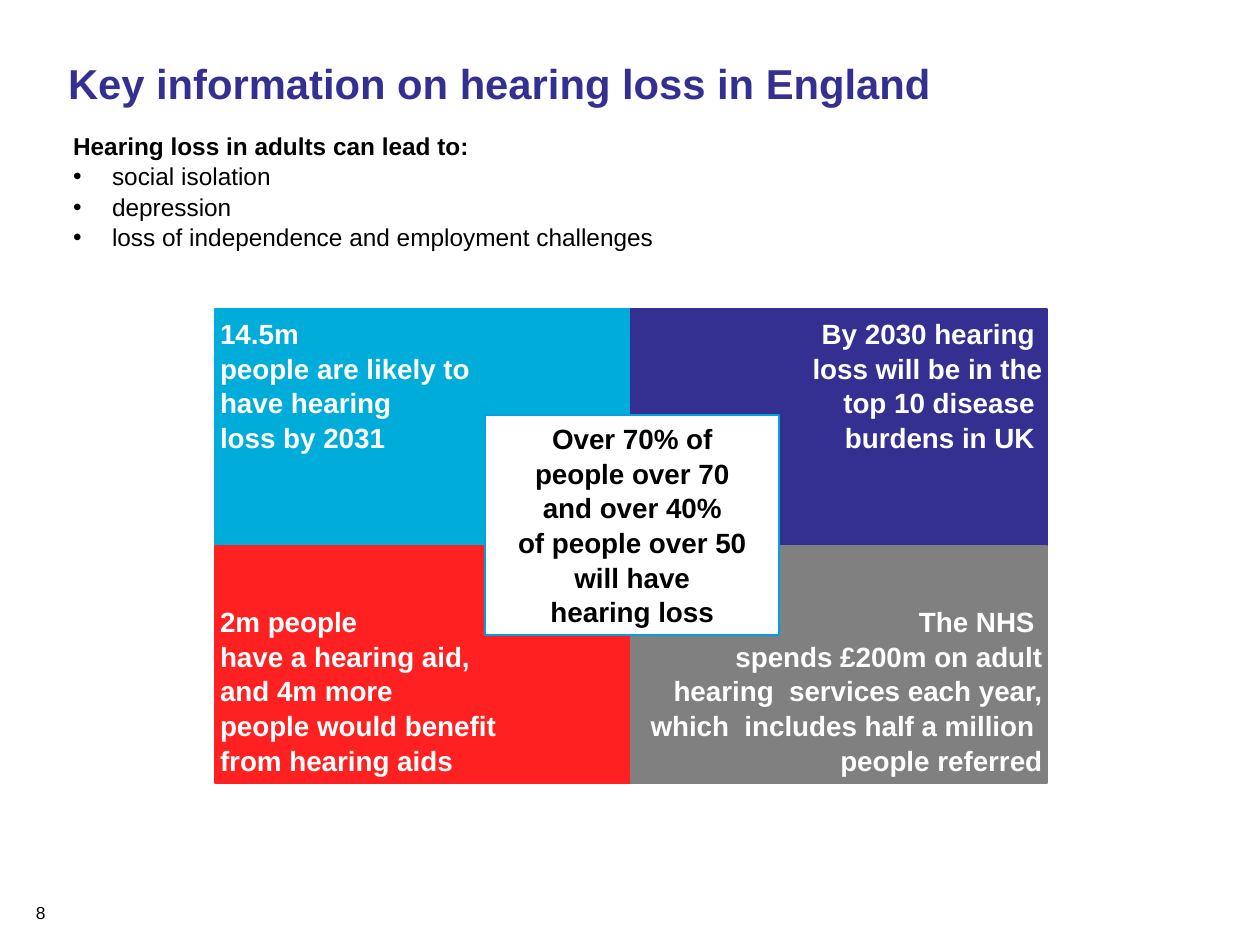
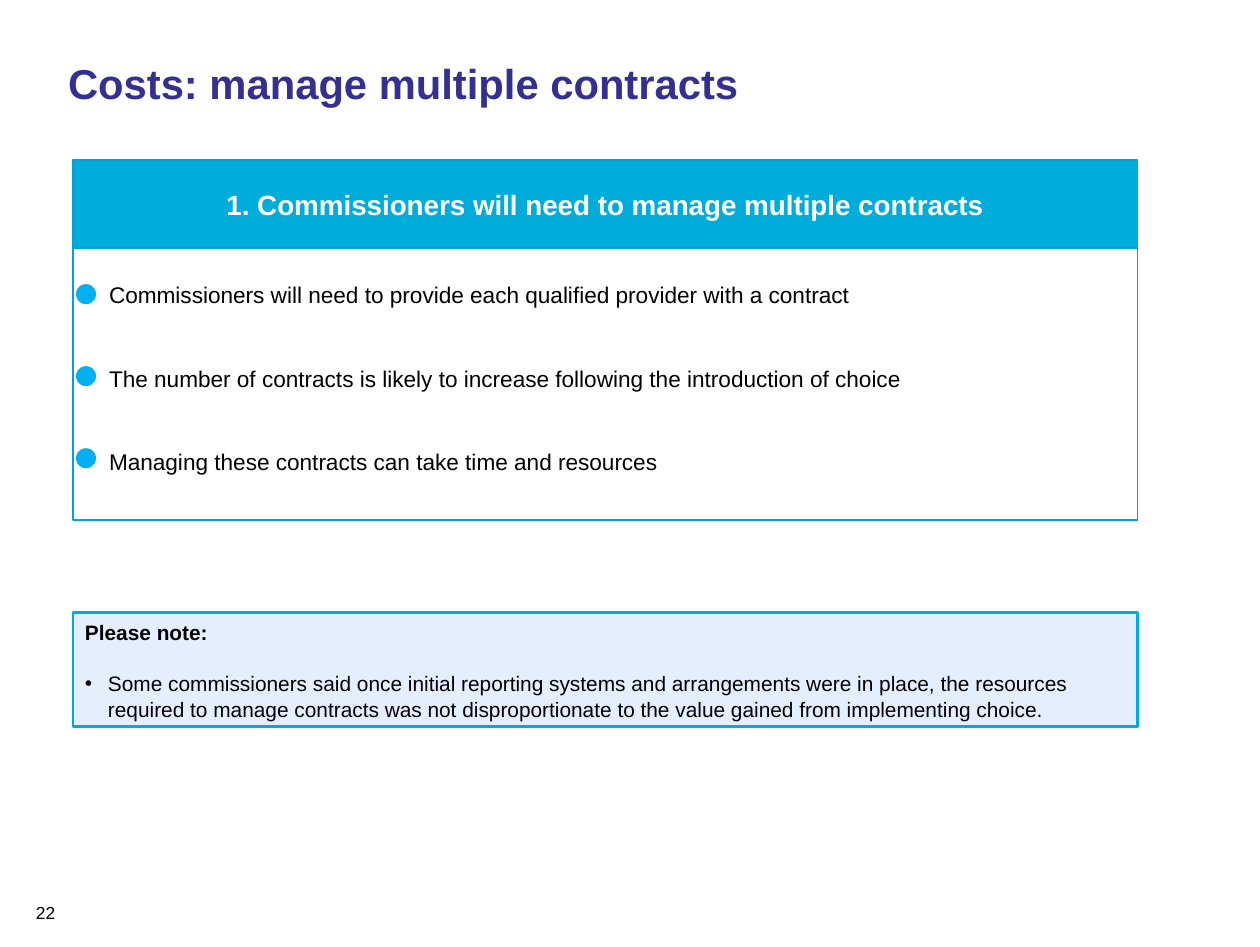
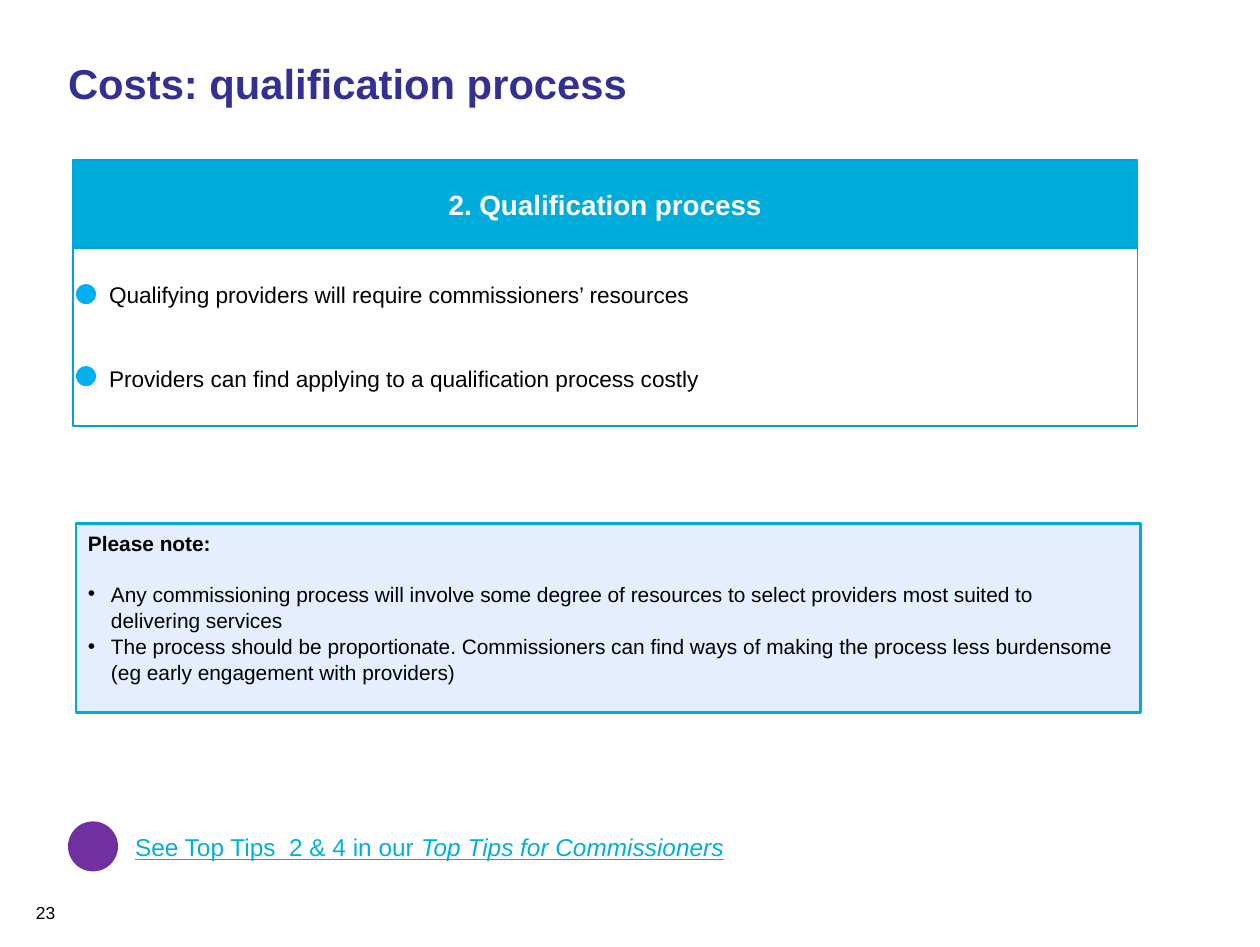
import dataclasses

import lxml.etree
import pptx
import pptx.dml.color
import pptx.enum.shapes
import pptx.enum.text
import pptx.oxml.ns
import pptx.util

PX_PER_INCH = 125.2
SHAPE = pptx.enum.shapes.MSO_SHAPE
ALIGN = pptx.enum.text.PP_ALIGN
ANCHOR = pptx.enum.text.MSO_ANCHOR
TIGHT = (5, 5, 5, 5)
STANDARD = (12, 6, 12, 6)


@dataclasses.dataclass(frozen=True)
class Theme:
    font: str = "Arial"
    black: str = "000000"
    white: str = "FFFFFF"
    navy: str = "333092"
    cyan: str = "00ADDA"
    border: str = "00A1DE"
    red: str = "FF2121"
    grey: str = "808080"
    pale: str = "E5EEFF"
    dot: str = "00B0F0"
    purple: str = "7030A0"
    link: str = "00AFDB"
    title: int = 24
    heading: int = 16
    body: int = 14
    panel: int = 13
    note: int = 12
    number: int = 10
    line_spacing: float = 1.04


THEME = Theme()


def px(n):
    return pptx.util.Emu(round(n * 914400 / PX_PER_INCH))


def rgb(color):
    return pptx.dml.color.RGBColor.from_string(color)


def place(sp, x, y, w, h):
    sp.left, sp.top, sp.width, sp.height = px(x), px(y), px(w), px(h)


def frame(sp, insets=STANDARD, anchor=ANCHOR.TOP):
    """Set wrapping, anchor and insets (left, top, right, bottom)."""
    tf = sp.text_frame
    tf.word_wrap = True
    tf.auto_size = pptx.enum.text.MSO_AUTO_SIZE.NONE
    tf.vertical_anchor = anchor
    tf.margin_left, tf.margin_top, tf.margin_right, tf.margin_bottom = map(px, insets)


def set_bullet(p, bullet):
    pPr = p._p.get_or_add_pPr()

    def add(tag, **attrs):
        lxml.etree.SubElement(pPr, pptx.oxml.ns.qn(tag), **attrs)

    if bullet:
        add("a:buFont", typeface=THEME.font)
        add("a:buChar", char="•")
    else:
        add("a:buNone")


def add_run(p, text, size, color=THEME.black, bold=False, italic=False, underline=False):
    r = p.add_run()
    r.text = text
    font = r.font
    font.name, font.size, font.color.rgb = THEME.font, pptx.util.Pt(size), rgb(color)
    font.bold, font.italic, font.underline = bold, italic, underline


def write(sp, text, align=ALIGN.LEFT, indent=0, bullet=False, before=0, gap=0, **fmt):
    """Append one paragraph a line; before spaces the first, gap the others."""
    tf = sp.text_frame
    for i, line in enumerate(text.split("\n")):
        p = tf.paragraphs[0] if not tf.text else tf.add_paragraph()
        p.alignment = align
        p.line_spacing = THEME.line_spacing
        p.space_before, p.space_after = px(gap if i else before), px(0)
        pPr = p._p.get_or_add_pPr()
        pPr.set("marL", str(px(indent)))
        pPr.set("indent", str(px(-indent if bullet else 0)))
        set_bullet(p, bullet)
        for j, part in enumerate(line.split("\v")):
            if j:
                p.add_line_break()
            add_run(p, part, **fmt)
    return p


def add_box(slide, x, y, w, h, fill, line=None, weight=1, kind=SHAPE.RECTANGLE):
    sp = slide.shapes.add_shape(kind, px(x), px(y), px(w), px(h))
    sp.shadow.inherit = False
    sp.fill.solid()
    sp.fill.fore_color.rgb = rgb(fill)
    if line:
        set_line(sp, line, weight)
    else:
        sp.line.fill.background()
    return sp


def set_line(sp, color, weight=1):
    sp.line.color.rgb = rgb(color)
    sp.line.width = pptx.util.Pt(weight)


def add_dot(slide, x, y, size, color):
    add_box(slide, x, y, size, size, color, kind=SHAPE.OVAL)


def add_textbox(slide, x, y, w, h):
    sp = slide.shapes.add_textbox(px(x), px(y), px(w), px(h))
    frame(sp)
    return sp


def add_slide(prs, title, number):
    slide = prs.slides.add_slide(prs.slide_layouts[1])
    sp = slide.shapes.title
    place(sp, 56, 50, 1176, 89)
    frame(sp)
    write(sp, title, size=THEME.title, color=THEME.navy, bold=True)
    write(add_textbox(slide, 24, 895, 292, 30), number, size=THEME.number)
    return slide


def add_panel(slide, heading, points, height):
    """Heading band above a bordered list with round markers."""
    x, y, w, band, pitch, line = 73, 160, 1064, 88, 82, 27
    sp = add_box(slide, x, y, w, band, THEME.cyan, THEME.border)
    frame(sp, TIGHT, ANCHOR.MIDDLE)
    write(sp, heading, align=ALIGN.CENTER, size=THEME.heading, color=THEME.white, bold=True)
    body = slide.placeholders[1]
    place(body, x, y + band, w, height)
    set_line(body, THEME.border)
    frame(body, (5, 32, 5, 5))
    write(body, "\n".join(points), indent=31, gap=pitch - line, size=THEME.panel)
    for i in range(len(points)):
        add_dot(slide, x + 3, y + 124 + i * pitch, 20, THEME.dot)


def add_note(slide, x, y, h, points):
    sp = add_box(slide, x, y, 1064, h, THEME.pale, THEME.cyan, 1.5)
    frame(sp)
    write(sp, "Please note:", size=THEME.note, bold=True)
    write(sp, points, indent=23, bullet=True, before=25, size=THEME.note)


def add_quadrants(slide):
    x, y, w, h = 215, 309, 416, 237
    quadrants = (
        (THEME.cyan, "14.5m\npeople are likely to\nhave hearing \vloss by 2031"),
        (THEME.navy, "By 2030 hearing \nloss will be in the\ntop 10 disease \nburdens in UK "),
        (THEME.red, "2m people\nhave a hearing aid,\nand 4m more\n"
                    "people would benefit\nfrom hearing aids"),
        (THEME.grey, "The NHS \vspends £200m on adult hearing  services each year, "
                     "which  includes half a million \npeople referred"),
    )
    for i, (color, text) in enumerate(quadrants):
        row, col = divmod(i, 2)
        sp = add_box(slide, x + col * w, y + row * h, w, h, color, color)
        frame(sp, (5, 57 if row else 6, 5, 5))
        write(sp, text, align=ALIGN.RIGHT if col else ALIGN.LEFT,
              size=THEME.heading, color=THEME.white, bold=True)
    sp = add_box(slide, 485, 415, 294, 220, THEME.white, THEME.border)
    frame(sp, TIGHT)
    write(sp, "Over 70% of\npeople over 70\nand over 40%\nof people over 50\n"
              "will have\nhearing loss",
          align=ALIGN.CENTER, size=THEME.heading, bold=True)


def build_key_information(prs):
    slide = add_slide(prs, "Key information on hearing loss in England", "8")
    body = slide.placeholders[1]
    place(body, 61, 124, 1162, 130)
    frame(body)
    write(body, "Hearing loss in adults can lead to:", size=THEME.body, bold=True)
    write(body, "social isolation\ndepression\nloss of independence and employment challenges",
          indent=39, bullet=True, size=THEME.body)
    add_quadrants(slide)


def build_contracts(prs):
    slide = add_slide(prs, "Costs: manage multiple contracts", "22")
    add_panel(slide, "1. Commissioners will need to manage multiple contracts", (
        "Commissioners will need to provide each qualified provider with a contract",
        "The number of contracts is likely to increase following the introduction of choice",
        "Managing these contracts can take time and resources",
    ), 272)
    add_note(slide, 73, 612, 114,
             "Some commissioners said once initial reporting systems and arrangements were in "
             "place, the resources required to manage contracts was not disproportionate to "
             "the value gained from implementing choice.")


def build_qualification(prs):
    slide = add_slide(prs, "Costs: qualification process", "23")
    add_panel(slide, "2. Qualification process", (
        "Qualifying providers will require commissioners’ resources",
        "Providers can find applying to a qualification process costly",
    ), 178)
    add_note(slide, 76, 523, 189,
             "Any commissioning process will involve some degree of resources to select "
             "providers most suited to delivering services\n"
             "The process should be proportionate. Commissioners can find ways of making the "
             "process less burdensome (eg early engagement with providers)")
    add_dot(slide, 68, 821, 50, THEME.purple)
    style = dict(size=THEME.body, color=THEME.link, underline=True)
    p = write(add_textbox(slide, 123, 825, 906, 43), "See Top Tips  2 & 4 in our ", **style)
    add_run(p, "Top Tips for Commissioners", italic=True, **style)


def main():
    prs = pptx.Presentation()
    prs.slide_width = pptx.util.Inches(10.06)
    prs.slide_height = pptx.util.Inches(7.56)
    build_key_information(prs)
    build_contracts(prs)
    build_qualification(prs)
    prs.save("out.pptx")


if __name__ == "__main__":
    main()
